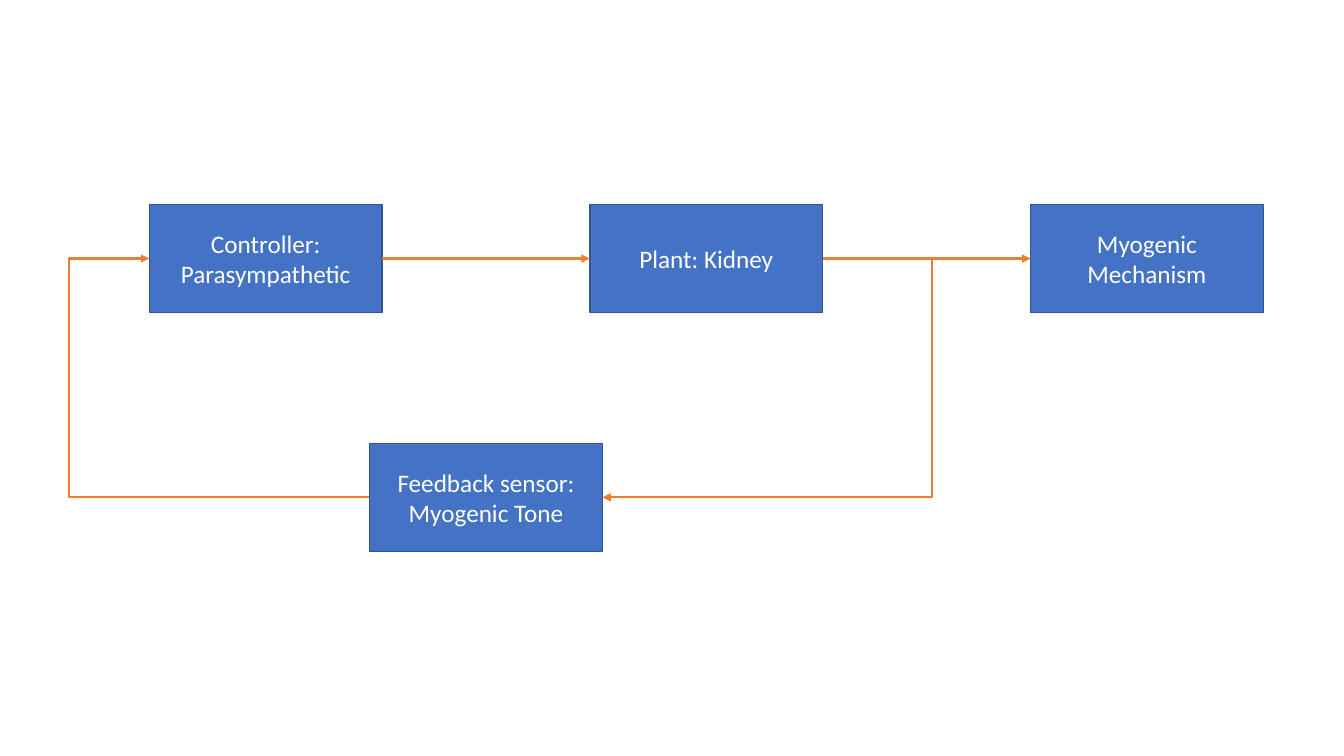
"""Build a slide with a feedback control diagram of myogenic regulation in the kidney."""
from pptx import Presentation
from pptx.dml.color import RGBColor
from pptx.enum.shapes import MSO_CONNECTOR as LINK, MSO_SHAPE
from pptx.enum.text import MSO_ANCHOR, PP_ALIGN
from pptx.oxml.ns import qn
from pptx.util import Inches, Pt
from lxml.etree import SubElement

THEME = {
    "block": RGBColor.from_string("4472C4"),
    "border": RGBColor.from_string("325491"),
    "signal": RGBColor.from_string("ED7D31"),
    "label": {"name": "Calibri", "size": Pt(18)},
    "label_color": RGBColor.from_string("FFFFFF"),
    "border_width": Pt(1),
    "signal_width": Pt(1.5),
}
BLOCK_W, BLOCK_H = 2.31, 1.07
FIRST_LEFT, PITCH = 1.48, 4.37
FORWARD_TOP, FEEDBACK_TOP = 2.03, 4.4
LEFT_SITE, RIGHT_SITE = 1, 3

deck = Presentation()
deck.slide_width, deck.slide_height = Inches(13.33), Inches(7.5)
slide = deck.slides.add_slide(deck.slide_layouts[6])

blocks = {}
for role, label, column, top in [
    ("controller", "Controller: Parasympathetic", 0, FORWARD_TOP),
    ("plant", "Plant: Kidney", 1, FORWARD_TOP),
    ("sensor", "Feedback sensor: Myogenic Tone", 0.5, FEEDBACK_TOP),
    ("output", "Myogenic Mechanism", 2, FORWARD_TOP),
]:
    block = slide.shapes.add_shape(
        MSO_SHAPE.RECTANGLE, Inches(FIRST_LEFT + column * PITCH), Inches(top),
        Inches(BLOCK_W), Inches(BLOCK_H))
    block.shadow.inherit = False
    block.fill.solid()
    block.fill.fore_color.rgb = THEME["block"]
    block.line.color.rgb = THEME["border"]
    block.line.width = THEME["border_width"]
    frame = block.text_frame
    frame.word_wrap = True
    frame.vertical_anchor = MSO_ANCHOR.MIDDLE
    frame.text = label
    paragraph = frame.paragraphs[0]
    paragraph.alignment = PP_ALIGN.CENTER
    font = paragraph.runs[0].font
    for key, value in THEME["label"].items():
        setattr(font, key, value)
    font.color.rgb = THEME["label_color"]
    blocks[role] = block


def port(role, site):
    block = blocks[role]
    x = block.left + (block.width if site == RIGHT_SITE else 0)
    return x, block.top + block.height // 2


branch = (Inches(9.28), port("plant", RIGHT_SITE)[1])
for source, target, entry, turn in [
    ("sensor", "controller", LEFT_SITE, 0.69),
    ("controller", "plant", LEFT_SITE, None),
    ("plant", "output", LEFT_SITE, None),
    (None, "sensor", RIGHT_SITE, 9.24),
]:
    departure = LEFT_SITE if source == "sensor" else RIGHT_SITE
    start = port(source, departure) if source else branch
    end = port(target, entry)
    route = LINK.ELBOW if turn else LINK.STRAIGHT
    signal = slide.shapes.add_connector(route, *start, *end)
    if source:
        signal.begin_connect(blocks[source], departure)
    signal.end_connect(blocks[target], entry)
    signal.line.color.rgb = THEME["signal"]
    signal.line.width = THEME["signal_width"]
    properties = signal._element.spPr
    SubElement(properties.find(qn("a:ln")), qn("a:tailEnd"), type="triangle")
    SubElement(properties, qn("a:effectLst"))
    if turn:
        bend = round(100000 * (Inches(turn) - start[0]) / (end[0] - start[0]))
        guides = properties.find(qn("a:prstGeom")).get_or_add_avLst()
        SubElement(guides, qn("a:gd"), name="adj1", fmla=f"val {bend}")

deck.save("out.pptx")
